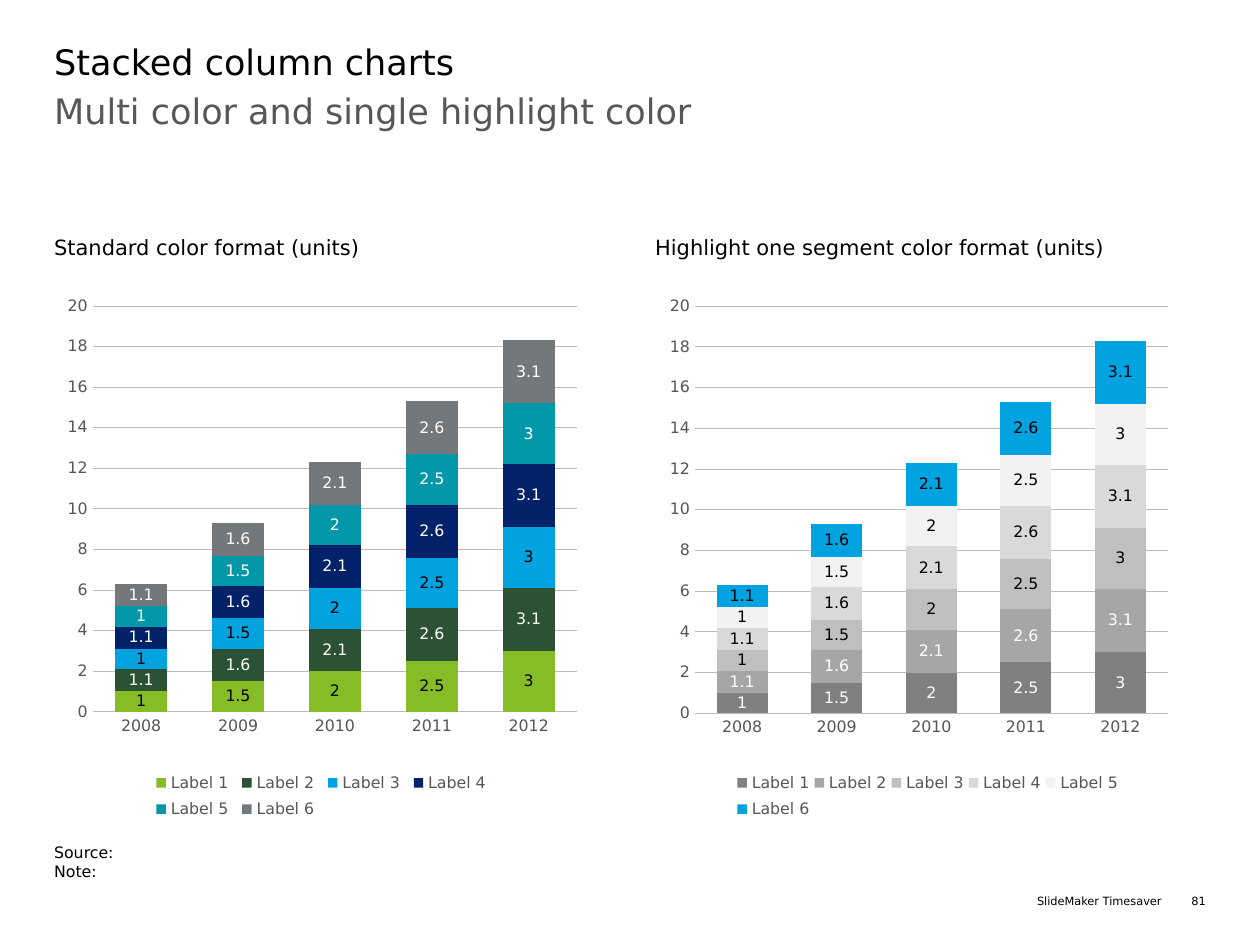
from lxml import etree
from pptx import Presentation
from pptx import util as u
from pptx.chart.data import CategoryChartData
from pptx.dml.color import RGBColor
from pptx.enum import chart as ch, text
from pptx.oxml.ns import qn

FONT = "DejaVu Sans"
COLORS = {
    "black": "000000", "white": "FFFFFF", "subtitle": "575757",
    "axis_text": "53565A", "rule": "BBBCBC",
    "green": "86BC25", "forest": "2C5234", "blue": "00A3E0",
    "navy": "012169", "teal": "0097A9", "slate": "75787B",
    "grey1": "808080", "grey2": "A6A6A6", "grey3": "BFBFBF",
    "grey4": "D9D9D9", "grey5": "F2F2F2",
}
YEARS = ["2008", "2009", "2010", "2011", "2012"]
ODD_VALUES = [1, 1.5, 2, 2.5, 3]
EVEN_VALUES = [1.1, 1.6, 2.1, 2.6, 3.1]
STANDARD = [("green", "black"), ("forest", "white"), ("blue", "black"),
            ("navy", "white"), ("teal", "white"), ("slate", "white")]
HIGHLIGHT = [("grey1", "white"), ("grey2", "white"), ("grey3", "black"),
             ("grey4", "black"), ("grey5", "black"), ("blue", "black")]


def apply(target, values):
    for name, value in values.items():
        setattr(target, name, value)


def rgb(name):
    return RGBColor.from_string(COLORS[name])


def style_font(font, size, color):
    apply(font, {"name": FONT, "size": u.Pt(size), "bold": False})
    font.color.rgb = rgb(color)


def add_text(slide, box, lines, size, color="black", align=text.PP_ALIGN.LEFT):
    frame = slide.shapes.add_textbox(*map(u.Inches, box)).text_frame
    apply(frame, {"word_wrap": True, "margin_left": 0, "margin_right": 0,
                  "margin_top": 0, "margin_bottom": 0,
                  "vertical_anchor": text.MSO_ANCHOR.TOP})
    for index, line in enumerate(lines):
        paragraph = frame.add_paragraph() if index else frame.paragraphs[0]
        paragraph.alignment = align
        run = paragraph.add_run()
        run.text = line
        style_font(run.font, size, color)


def make_layout(parent, box, inner=False):
    for old in parent.findall(qn("c:layout")):
        parent.remove(old)
    layout = etree.Element(qn("c:layout"))
    manual = etree.SubElement(layout, qn("c:manualLayout"))
    entries = [("layoutTarget", "inner")] if inner else []
    entries += [("xMode", "edge"), ("yMode", "edge")]
    entries += zip("xywh", map(str, box))
    for tag, value in entries:
        etree.SubElement(manual, qn(f"c:{tag}")).set("val", value)
    return layout


def style_line(line, color):
    line.color.rgb = rgb(color)
    line.width = u.Pt(0.5)


def style_axes(chart):
    for axis in (chart.category_axis, chart.value_axis):
        apply(axis, {"major_tick_mark": ch.XL_TICK_MARK.NONE,
                     "minor_tick_mark": ch.XL_TICK_MARK.NONE})
        style_font(axis.tick_labels.font, 9, "axis_text")
    style_line(chart.category_axis.format.line, "rule")
    apply(chart.value_axis, {"minimum_scale": 0, "maximum_scale": 20,
                             "major_unit": 2, "has_major_gridlines": True})
    chart.value_axis.format.line.fill.background()
    style_line(chart.value_axis.major_gridlines.format.line, "rule")


def style_series(series, fill, label_color):
    series.format.fill.solid()
    series.format.fill.fore_color.rgb = rgb(fill)
    labels = series.data_labels
    apply(labels, {"show_value": True,
                   "position": ch.XL_LABEL_POSITION.CENTER})
    style_font(labels.font, 9, label_color)


def add_legend(chart, box):
    chart.has_legend = True
    legend = chart.legend
    apply(legend, {"position": ch.XL_LEGEND_POSITION.BOTTOM,
                   "include_in_layout": False})
    element = legend._element
    layout = make_layout(element, box)
    element.find(qn("c:legendPos")).addnext(layout)
    style_font(legend.font, 9, "axis_text")


def add_stacked_columns(slide, box, palette, plot_box, legend_box):
    data = CategoryChartData()
    data.categories = YEARS
    for index in range(len(palette)):
        data.add_series(f"Label {index + 1}",
                        EVEN_VALUES if index % 2 else ODD_VALUES)
    chart = slide.shapes.add_chart(ch.XL_CHART_TYPE.COLUMN_STACKED,
                                   *map(u.Inches, box), data).chart
    chart.has_title = False
    style_font(chart.font, 10, "black")
    plot = chart.plots[0]
    apply(plot, {"gap_width": 85, "overlap": 100, "vary_by_categories": False})
    for series, (fill, label_color) in zip(plot.series, palette):
        style_series(series, fill, label_color)
    style_axes(chart)
    add_legend(chart, legend_box)
    plot_area = chart._chartSpace.chart.plotArea
    plot_area.insert(0, make_layout(plot_area, plot_box, inner=True))


def main():
    deck = Presentation()
    apply(deck, {"slide_width": u.Inches(10), "slide_height": u.Inches(7.5)})
    slide = deck.slides.add_slide(deck.slide_layouts[6])

    add_text(slide, (0.43, 0.32, 9.13, 0.51), ["Stacked column charts"], 20)
    add_text(slide, (0.43, 0.71, 9.13, 0.83),
             ["Multi color and single highlight color"], 20, "subtitle")

    panels = [
        (0.43, "Standard color format (units)", STANDARD,
         (0.07, 0.025, 0.88, 0.737), (0.17, 0.86, 0.63, 0.11)),
        (5.2, "Highlight one segment color format (units)", HIGHLIGHT,
         (0.072, 0.025, 0.859, 0.74), (0.14, 0.86, 0.71, 0.11)),
    ]
    for left, heading, palette, plot_box, legend_box in panels:
        add_text(slide, (left, 1.86, 4.37, 0.42), [heading], 12)
        add_stacked_columns(slide, (left, 2.32, 4.37, 4.37), palette,
                            plot_box, legend_box)

    add_text(slide, (0.43, 6.69, 9.14, 0.28), ["Source:", "Note:"], 9)
    right = text.PP_ALIGN.RIGHT
    add_text(slide, (5.2, 7.1, 4.02, 0.11), ["SlideMaker Timesaver"], 6.5,
             align=right)
    add_text(slide, (9.19, 7.1, 0.38, 0.36), ["81"], 6.5, align=right)
    deck.save("out.pptx")


if __name__ == "__main__":
    main()
